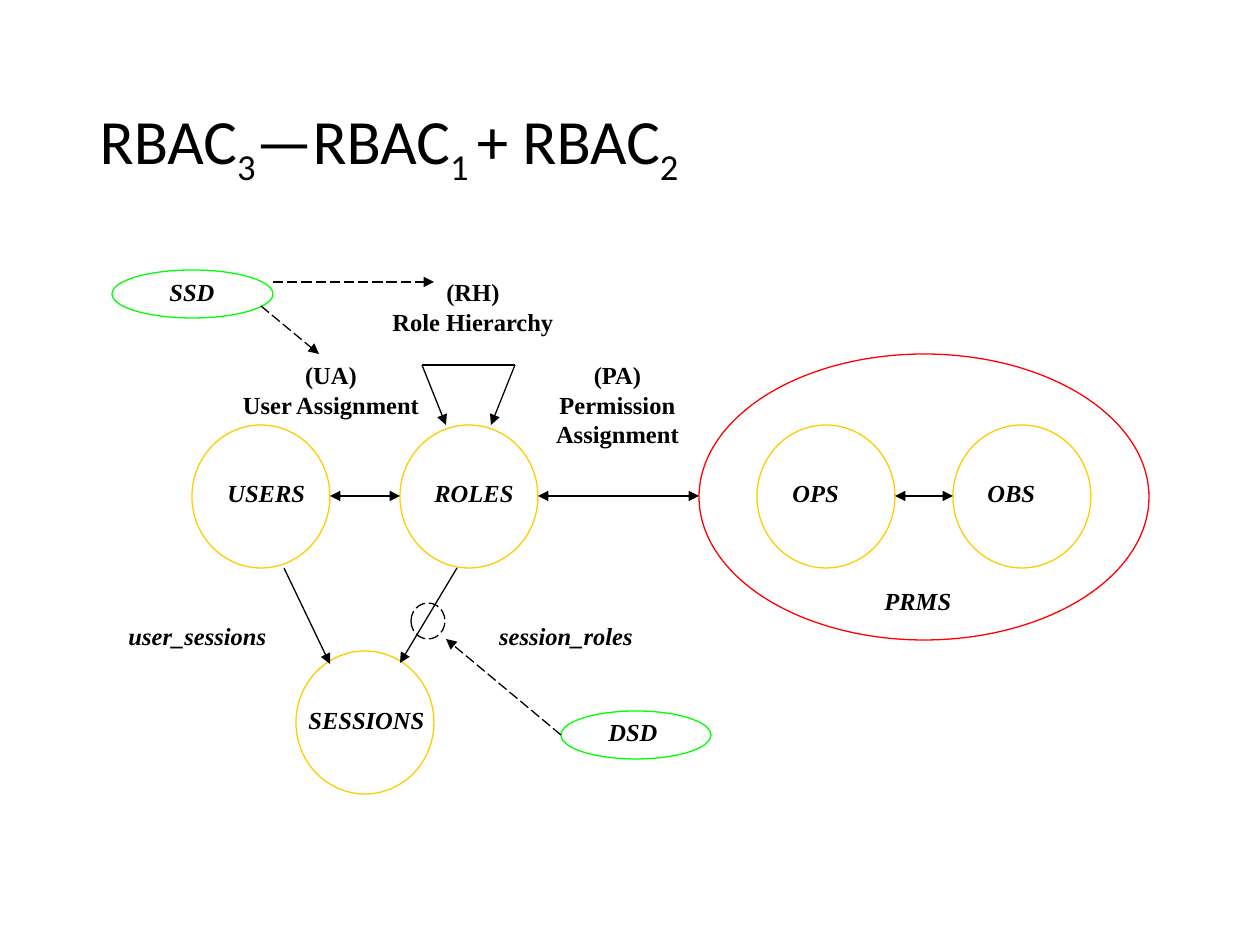
"""Build the RBAC3 slide: roles, sessions, permissions and their constraints."""
from lxml import etree
from pptx import Presentation, util as u
from pptx.dml.color import RGBColor
from pptx.enum import dml, shapes, text
from pptx.oxml.ns import qn

COLORS = {"ink": "000000", "set": "FFCC00", "permissions": "FF0000", "duty": "00FF00"}
TITLE = [("RBAC", 0), ("3", 1), ("—RBAC", 0), ("1 ", 1), ("+ RBAC", 0), ("2", 1)]
TITLE_BOX = (87, 50, 1086, 183)
TITLE_FONT = {"name": "Calibri", "size": u.Pt(36)}
LABEL_FONT = {"name": "Times New Roman", "size": u.Pt(14), "bold": True}

CIRCLE = (138, 143)
CIRCLE_CORNERS = [(953, 425), (757, 425), (296, 651), (400, 425), (192, 425)]
OVALS = [("permissions", (699, 354, 450, 286), False)]
OVALS += [("set", corner + CIRCLE, False) for corner in CIRCLE_CORNERS]
OVALS += [
    ("duty", (561, 711, 150, 48), False),
    ("duty", (112, 270, 161, 48), False),
    ("ink", (411, 603, 34, 36), True),
]

LEFT, CENTER = text.PP_ALIGN.LEFT, text.PP_ALIGN.CENTER
NAMES = [
    ("user_sessions", (115, 615, 165), CENTER),
    ("session_roles", (486, 615, 160), CENTER),
    ("USERS", (215, 472, 103), LEFT),
    ("OBS", (975, 472, 73), LEFT),
    ("OPS", (780, 472, 72), LEFT),
    ("SESSIONS", (296, 699, 142), LEFT),
    ("ROLES", (422, 472, 105), LEFT),
    ("PRMS", (872, 580, 93), LEFT),
    ("SSD", (157, 271, 71), LEFT),
    ("DSD", (596, 711, 74), LEFT),
]
RELATIONS = [
    ("(RH)\nRole Hierarchy", (379, 271, 188), CENTER),
    ("(UA)\nUser Assignment", (228, 354, 206), CENTER),
    ("(PA)\nPermission\nAssignment", (543, 354, 149), CENTER),
]
LINE_HEIGHT, LABEL_PADDING = 30, 13

END, BOTH = ("tailEnd",), ("headEnd", "tailEnd")
LINKS = [
    ((284, 568), (330, 664), END, False),
    ((261, 306), (319, 354), END, True),
    ((273, 282), (434, 282), END, True),
    ((422, 365), (446, 425), END, False),
    ((515, 365), (491, 425), END, False),
    ((422, 365), (515, 365), (), False),
    ((561, 735), (446, 639), END, True),
    ((330, 496), (400, 496), BOTH, False),
    ((538, 496), (699, 496), BOTH, False),
    ((895, 496), (953, 496), BOTH, False),
    ((457, 568), (400, 663), END, False),
]


def px(*lengths):
    return [round(length * 914400 / 126) for length in lengths]


def style_font(font, values):
    for key, value in values.items():
        setattr(font, key, value)
    font.color.rgb = RGBColor.from_string(COLORS["ink"])


def style_line(line, color, dashed):
    line.color.rgb = RGBColor.from_string(COLORS[color])
    line.width = u.Pt(0.75)
    if dashed:
        line.dash_style = dml.MSO_LINE.LONG_DASH


def add_title(slide):
    title = slide.shapes.title
    title.left, title.top, title.width, title.height = px(*TITLE_BOX)
    frame = title.text_frame
    frame.auto_size = text.MSO_AUTO_SIZE.NONE
    frame.vertical_anchor = text.MSO_ANCHOR.MIDDLE
    heading = frame.paragraphs[0]
    heading.alignment, heading.line_spacing = LEFT, 0.9
    for words, subscript in TITLE:
        run = heading.add_run()
        run.text = words
        style_font(run.font, TITLE_FONT)
        if subscript:
            run._r.get_or_add_rPr().set("baseline", "-25000")


def add_oval(slide, color, box, dashed):
    oval = slide.shapes.add_shape(shapes.MSO_SHAPE.OVAL, *px(*box))
    oval.shadow.inherit = False
    oval.fill.background()
    style_line(oval.line, color, dashed)


def add_label(slide, words, place, alignment, italic):
    height = LINE_HEIGHT * len(words.split("\n")) + LABEL_PADDING
    frame = slide.shapes.add_textbox(*px(*place, height)).text_frame
    frame.word_wrap = False
    frame.auto_size = text.MSO_AUTO_SIZE.SHAPE_TO_FIT_TEXT
    frame.text = words
    for paragraph in frame.paragraphs:
        paragraph.alignment = alignment
        for run in paragraph.runs:
            style_font(run.font, {**LABEL_FONT, "italic": italic})


def add_link(slide, start, stop, arrowheads, dashed):
    link = slide.shapes.add_connector(shapes.MSO_CONNECTOR.STRAIGHT, *px(*start, *stop))
    style_line(link.line, "ink", dashed)
    properties = link._element.spPr
    for end in arrowheads:
        etree.SubElement(properties.find(qn("a:ln")), qn(f"a:{end}"), type="triangle")
    etree.SubElement(properties, qn("a:effectLst"))


def main():
    deck = Presentation()
    deck.slide_width, deck.slide_height = px(1260, 945)
    slide = deck.slides.add_slide(deck.slide_layouts[5])
    add_title(slide)
    for oval in OVALS:
        add_oval(slide, *oval)
    for labels, italic in ((NAMES, True), (RELATIONS, False)):
        for label in labels:
            add_label(slide, *label, italic)
    for link in LINKS:
        add_link(slide, *link)
    deck.save("out.pptx")


if __name__ == "__main__":
    main()
